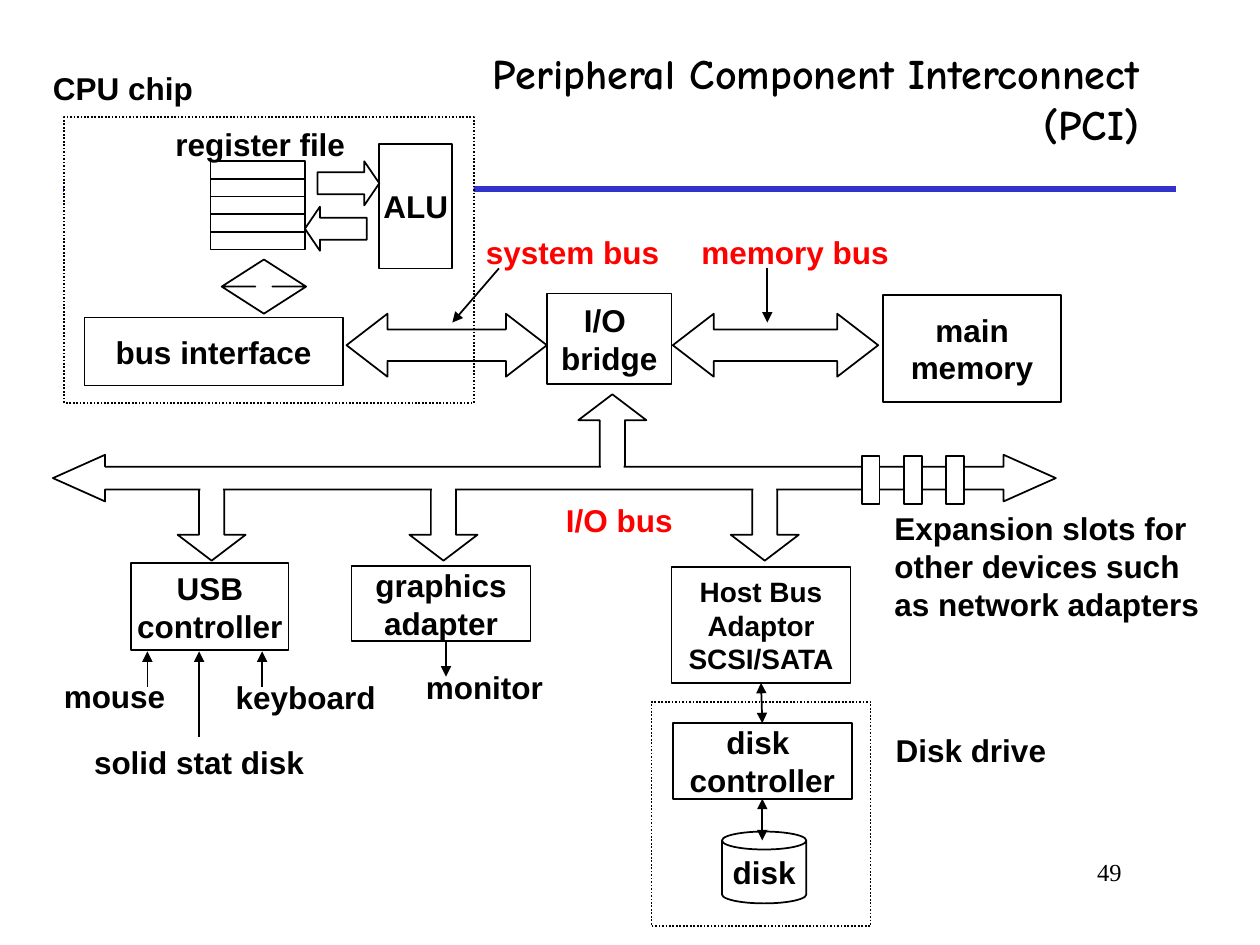
from collections import namedtuple

from lxml import etree
from pptx import Presentation
from pptx import util as u
from pptx.dml.color import RGBColor
from pptx.enum import dml, shapes, text
from pptx.oxml import ns

BLACK = RGBColor(0x00, 0x00, 0x00)
WHITE = RGBColor(0xFF, 0xFF, 0xFF)
RED = RGBColor(0xFF, 0x00, 0x00)
BLUE = RGBColor(0x33, 0x33, 0xCC)
SHAPE = shapes.MSO_SHAPE
ALIGN = text.PP_ALIGN
ANCHOR = text.MSO_ANCHOR
PX = 9144  # 100 px to the inch
LABEL_HEIGHT = 40

Region = namedtuple("Region", "slide left top")  # origin of a region's box


def px(*lengths):
    return [u.Emu(length * PX) for length in lengths]


def placed(region, x, y):
    return px(region.left + x, region.top + y)


def write(frame, content, size=18, font="Arial", color=BLACK, bold=True,
          align=ALIGN.CENTER, anchor=ANCHOR.MIDDLE):
    frame.word_wrap = False
    frame.auto_size = text.MSO_AUTO_SIZE.NONE
    frame.vertical_anchor = anchor
    for index, line in enumerate(content.split("\n")):
        paragraph = frame.paragraphs[0] if index == 0 else frame.add_paragraph()
        paragraph.alignment = align
        run = paragraph.add_run()
        run.text = line
        run.font.size = u.Pt(size)
        run.font.name = font
        run.font.bold = bold
        run.font.color.rgb = color


def add_label(region, x, y, width, content, height=LABEL_HEIGHT, **style):
    box = region.slide.shapes.add_textbox(*placed(region, x, y), *px(width, height))
    write(box.text_frame, content, **style)


def add_block(region, x, y, width, height, content="", kind=SHAPE.RECTANGLE,
              adjust=(), fill=None, line=BLACK, dotted=False, **style):
    shape = region.slide.shapes.add_shape(kind, *placed(region, x, y), *px(width, height))
    shape.shadow.inherit = False
    for index, value in enumerate(adjust):
        shape.adjustments[index] = value
    if fill is None:
        shape.fill.background()
    else:
        shape.fill.solid()
        shape.fill.fore_color.rgb = fill
    if line is None:
        shape.line.fill.background()
    else:
        shape.line.color.rgb = line
        shape.line.width = u.Pt(1)
    if dotted:
        shape.line.dash_style = dml.MSO_LINE.ROUND_DOT
    if content:
        write(shape.text_frame, content, **style)
    return shape


def add_line(region, start, end, color=BLACK, width=1, head=False, tail=False):
    """Draw a straight line; head is an arrowhead at start, tail one at end."""
    line = region.slide.shapes.add_connector(
        shapes.MSO_CONNECTOR.STRAIGHT, *placed(region, *start), *placed(region, *end))
    line.line.color.rgb = color
    line.line.width = u.Pt(width)
    properties = line.line._get_or_add_ln()
    for tag, wanted in (("a:headEnd", head), ("a:tailEnd", tail)):
        if wanted:
            etree.SubElement(properties, ns.qn(tag), type="triangle")
    etree.SubElement(line._element.spPr, ns.qn("a:effectLst"))
    return line


def add_header(region):
    add_line(region, (0, 117), (883, 117), color=BLUE, width=3)
    title = region.slide.shapes.title
    title.left, title.top = placed(region, 328, 0)
    title.width, title.height = px(536, 90)
    write(title.text_frame, "Peripheral Component Interconnect\n(PCI)", size=24,
          font="Comic Neue", align=ALIGN.RIGHT, anchor=ANCHOR.TOP)


def add_cpu_chip(region):
    add_block(region, 0, 0, 325, 227, fill=WHITE, dotted=True)
    add_label(region, -19, -43, 131, "CPU chip")
    add_block(region, 16, 159, 205, 54, "bus interface")
    register_height = 14
    for row in range(5):
        add_block(region, 116, 35 + row * register_height, 75, register_height)
    for kind, x, y in ((SHAPE.RIGHT_ARROW, 201, 35), (SHAPE.LEFT_ARROW, 191, 71)):
        add_block(region, x, y, 49, 35, kind=kind, adjust=(0.5, 0.34))
    add_block(region, 250, 21, 58, 99, "ALU")
    add_label(region, 78, 1, 155, "register file")
    add_block(region, 125, 113, 67, 43, kind=SHAPE.UP_DOWN_ARROW, adjust=(0.5, 0.2))


def add_memory_path(region):
    """System bus, I/O bridge, memory bus and main memory."""
    for x, width in ((0, 159), (259, 163)):
        add_block(region, x, 69, width, 50, kind=SHAPE.LEFT_RIGHT_ARROW,
                  adjust=(0.5, 0.65))
    add_block(region, 159, 53, 99, 72, "I/O \nbridge")
    add_block(region, 426, 54, 141, 85, "main\nmemory")
    add_label(region, 101, 0, 157, "system bus", color=RED)
    add_line(region, (121, 33), (84, 76), tail=True)
    add_label(region, 272, 0, 168, "memory bus", color=RED)
    add_line(region, (334, 33), (334, 76), tail=True)


def add_io_bus(region):
    branches = [(SHAPE.UP_ARROW, 417, -48, 8)]
    branches += [(SHAPE.DOWN_ARROW, x, 20, 15) for x in (99, 283, 538)]
    for kind, x, y, _ in branches:
        add_block(region, x, y, 54, 64, kind=kind, adjust=(0.37, 0.38))
    add_block(region, 0, 0, 796, 37, kind=SHAPE.LEFT_RIGHT_ARROW,
              adjust=(0.49, 1.12), fill=WHITE)
    for _, x, _, joint_top in branches:
        add_block(region, x + 18, joint_top, 18, 14, fill=WHITE, line=None)
    add_label(region, 397, 32, 105, "I/O bus", color=RED)
    for slot in range(3):
        add_block(region, 642 + slot * 33.5, 1, 14, 38, fill=WHITE)
    add_label(region, 658, 38, 261,
              "Expansion slots for\nother devices such\nas network adapters",
              height=100, align=ALIGN.LEFT)


def add_usb_devices(region):
    add_block(region, 0, 0, 125, 69, "USB\ncontroller")
    for x, bottom in ((13, 98), (54, 138), (104, 98)):
        add_line(region, (x, 70), (x, bottom), head=True)
    add_label(region, -63, 85, 100, "mouse")
    add_label(region, 73, 86, 131, "keyboard")
    add_label(region, -39, 138, 186, "solid stat disk")


def add_graphics(region):
    add_block(region, 0, 0, 142, 60, "graphics\nadapter")
    add_line(region, (75, 59), (75, 88), tail=True)
    add_label(region, 49, 76, 113, "monitor")


def add_disk_drive(region):
    """Host bus adaptor above the dotted disk drive with its controller."""
    adaptor = add_block(region, 16, 0, 142, 92, "Host Bus\nAdaptor\nSCSI/SATA", size=16)
    add_block(region, 0, 107, 174, 178, dotted=True)
    controller = add_block(region, 17, 124, 142, 60, "disk \ncontroller")
    add_block(region, 56, 210, 67, 57, "disk", kind=SHAPE.CAN, adjust=(0.25,))
    host_link = add_line(region, (91, 90), (91, 125), head=True, tail=True)
    host_link.begin_connect(adaptor, 2)
    host_link.end_connect(controller, 0)
    disk_link = add_line(region, (88, 184), (88, 217), head=True, tail=True)
    disk_link.begin_connect(controller, 2)
    add_label(region, 184, 125, 139, "Disk drive")


def main():
    presentation = Presentation()
    presentation.slide_width, presentation.slide_height = px(1000, 750)
    slide = presentation.slides.add_slide(presentation.slide_layouts[5])
    add_header(Region(slide, 50, 33))
    add_cpu_chip(Region(slide, 51, 93))
    add_memory_path(Region(slide, 275, 180))
    add_io_bus(Region(slide, 42, 361))
    add_usb_devices(Region(slide, 104, 447))
    add_graphics(Region(slide, 279, 449))
    add_disk_drive(Region(slide, 517, 450))
    add_label(Region(slide, 0, 0), 758, 675, 142, "49", height=50, size=14,
              font="Times New Roman", bold=False, align=ALIGN.RIGHT, anchor=ANCHOR.TOP)
    presentation.save("out.pptx")


if __name__ == "__main__":
    main()
